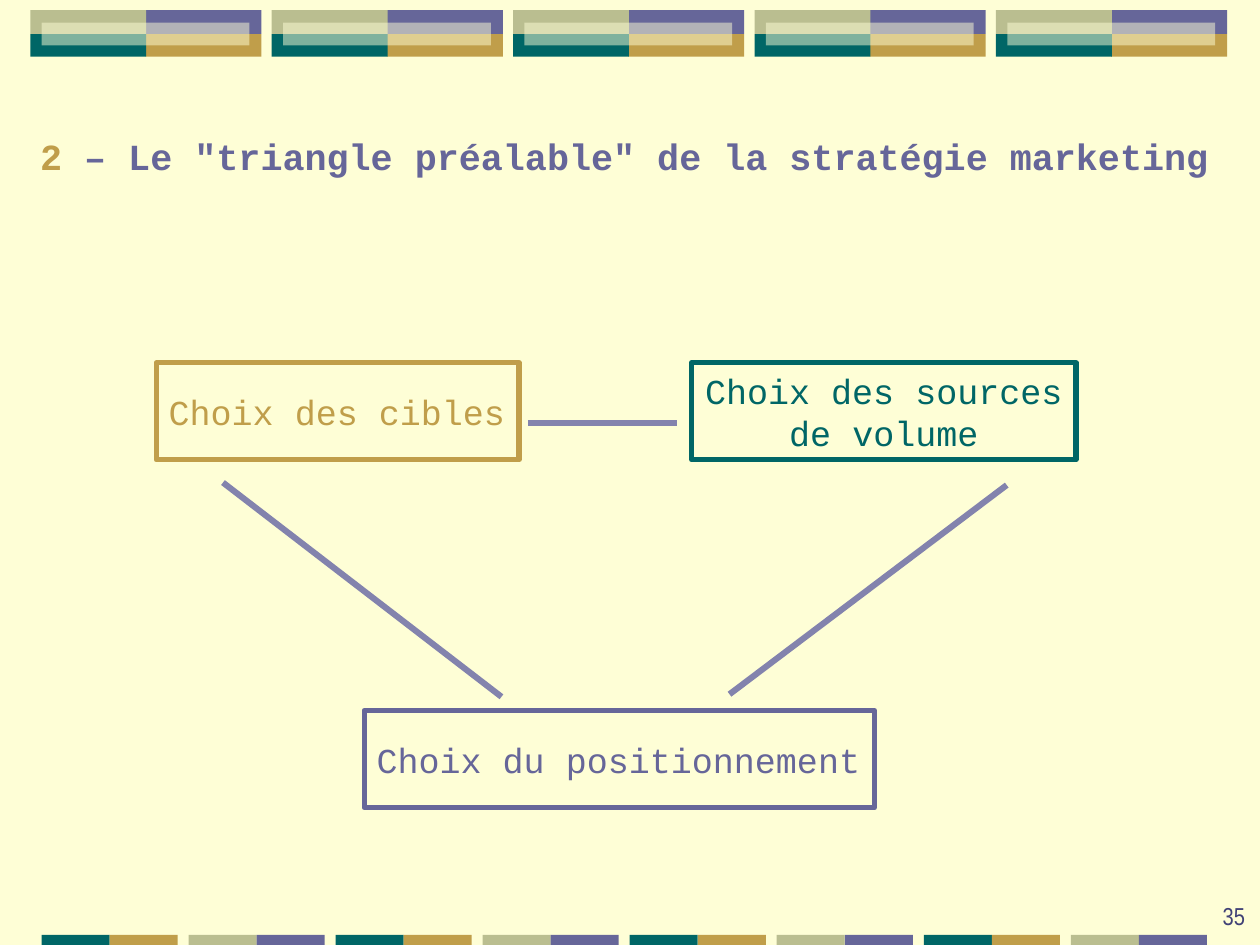
from typing import NamedTuple

from lxml.etree import SubElement
from pptx import Presentation
from pptx.dml.color import RGBColor
from pptx.enum.shapes import MSO_CONNECTOR as Link, MSO_SHAPE as Kind
from pptx.enum.text import MSO_ANCHOR as Anchor, PP_ALIGN as Align
from pptx.oxml.ns import qn
from pptx.util import Inches, Pt

CREAM = RGBColor(0xFE, 0xFE, 0xD6)
PURPLE = RGBColor(0x66, 0x66, 0x99)
GOLD = RGBColor(0xC0, 0x9E, 0x4A)
TEAL = RGBColor(0x00, 0x66, 0x66)
SAGE = RGBColor(0xBA, 0xBE, 0x90)
LILAC = RGBColor(0x83, 0x83, 0xAD)
NAVY = RGBColor(0x40, 0x41, 0x76)
MONO = "Courier New"


class Area(NamedTuple):
    left: float
    top: float
    width: float
    height: float


class Choice(NamedTuple):
    area: Area
    color: RGBColor
    lines: tuple[str, ...]
    align: Align


class Side(NamedTuple):
    x1: float
    y1: float
    x2: float
    y2: float


CHOICES = (
    Choice(Area(1.24, 2.88, 2.88, 0.77), GOLD, ("Choix des cibles",), Align.LEFT),
    Choice(Area(5.49, 2.88, 3.05, 0.77), TEAL,
           ("Choix des sources", "de volume"), Align.CENTER),
    Choice(Area(2.89, 5.64, 4.05, 0.77), PURPLE,
           ("Choix du positionnement",), Align.LEFT),
)
SIDES = (
    Side(4.19, 3.36, 5.37, 3.36),
    Side(1.77, 3.83, 3.98, 5.53),
    Side(7.99, 3.85, 5.79, 5.51),
)


def to_emu(area: Area) -> list[int]:
    return [Inches(value) for value in area]


def add_rect(slide, area: Area):
    rect = slide.shapes.add_shape(Kind.RECTANGLE, *to_emu(area))
    rect.shadow.inherit = False
    return rect


def add_tile(slide, area: Area, color: RGBColor, alpha: int = 100) -> None:
    tile = add_rect(slide, area)
    tile.fill.solid()
    tile.fill.fore_color.rgb = color
    tile.line.fill.background()
    if alpha < 100:
        tint = tile._element.spPr.find(f"{qn('a:solidFill')}/{qn('a:srgbClr')}")
        SubElement(tint, qn("a:alpha"), val=str(alpha * 1000))


def add_run(para, text: str, size: int, color: RGBColor,
            face: str = MONO, bold: bool = False) -> None:
    run = para.add_run()
    run.text = text
    run.font.size = Pt(size)
    run.font.name = face
    run.font.bold = bold
    run.font.color.rgb = color


def add_top(slide) -> None:
    for step in range(5):
        left = 0.24 + step * 1.916
        mid = left + 0.915
        add_tile(slide, Area(mid, 0.08, 0.92, 0.19), PURPLE)
        add_tile(slide, Area(mid, 0.27, 0.92, 0.18), GOLD)
        add_tile(slide, Area(left, 0.27, 0.92, 0.18), TEAL)
        add_tile(slide, Area(left, 0.08, 0.92, 0.19), SAGE)
        add_tile(slide, Area(left + 0.09, 0.18, 1.65, 0.18), CREAM, 50)


def add_foot(slide) -> None:
    pairs = ((TEAL, GOLD), (SAGE, PURPLE))
    for step in range(8):
        left = 0.33 + step * 1.167
        for part, color in enumerate(pairs[step % 2]):
            add_tile(slide, Area(left + part * 0.54, 7.42, 0.54, 0.08), color)


def add_title(slide) -> None:
    frame = slide.shapes.add_textbox(*to_emu(Area(0.22, 1.01, 9.5, 0.45))).text_frame
    frame.word_wrap = False
    para = frame.paragraphs[0]
    add_run(para, "2", 21, GOLD, bold=True)
    add_run(para, ' – Le "triangle préalable" de la stratégie marketing',
            21, PURPLE, bold=True)


def add_choice(slide, choice: Choice) -> None:
    box = add_rect(slide, choice.area)
    box.fill.background()
    box.line.color.rgb = choice.color
    box.line.width = Pt(3)
    frame = box.text_frame
    frame.word_wrap = False
    frame.vertical_anchor = Anchor.MIDDLE
    for index, text in enumerate(choice.lines):
        para = frame.add_paragraph() if index else frame.paragraphs[0]
        para.alignment = choice.align
        add_run(para, text, 20, choice.color)


def add_side(slide, side: Side) -> None:
    ends = [Inches(value) for value in side]
    line = slide.shapes.add_connector(Link.STRAIGHT, *ends)
    line.line.color.rgb = LILAC
    line.line.width = Pt(3.5)
    SubElement(line._element.spPr, qn("a:effectLst"))


def add_number(slide) -> None:
    frame = slide.shapes.add_textbox(*to_emu(Area(7.9, 6.93, 2.08, 0.5))).text_frame
    frame.word_wrap = True
    frame.vertical_anchor = Anchor.BOTTOM
    para = frame.paragraphs[0]
    para.alignment = Align.RIGHT
    add_run(para, "35", 14, NAVY, "Arial Narrow")


def main() -> None:
    deck = Presentation()
    deck.slide_width = Inches(10)
    deck.slide_height = Inches(7.5)
    slide = deck.slides.add_slide(deck.slide_layouts[6])
    slide.background.fill.solid()
    slide.background.fill.fore_color.rgb = CREAM
    add_top(slide)
    add_foot(slide)
    add_title(slide)
    for choice in CHOICES:
        add_choice(slide, choice)
    for side in SIDES:
        add_side(slide, side)
    add_number(slide)
    deck.save("out.pptx")


if __name__ == "__main__":
    main()
